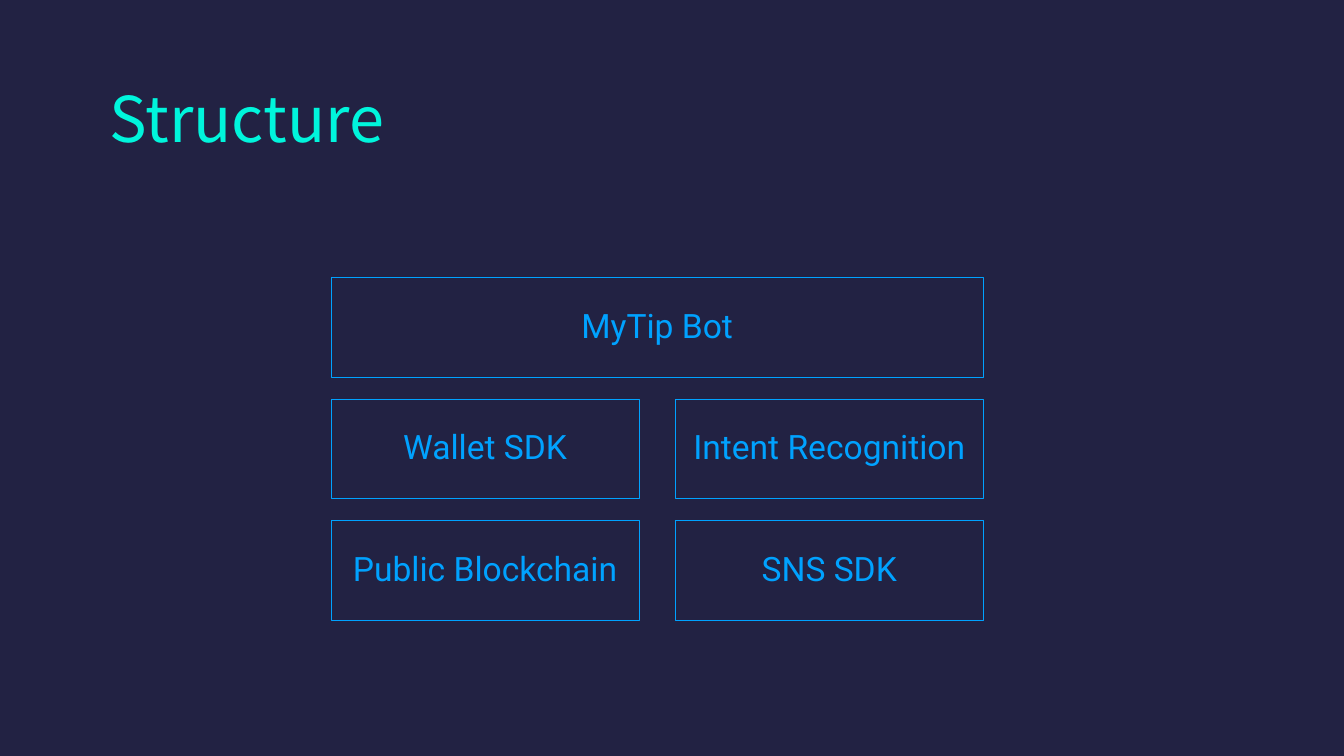
from dataclasses import dataclass

from pptx import Presentation
from pptx.dml.color import RGBColor
from pptx.enum.shapes import MSO_SHAPE
from pptx.enum.text import MSO_ANCHOR, PP_ALIGN
from pptx.util import Cm, Pt


@dataclass(frozen=True)
class Theme:
    back: str = "222243"
    head: str = "00F5DC"
    blue: str = "00A2FF"
    head_font: str = "Noto Sans CJK SC"
    box_font: str = "Roboto"
    head_size: int = 90
    box_size: int = 48
    inset: float = 0.15


class Deck:
    def __init__(self, prs, theme):
        self.theme = theme
        self.slide = prs.slides.add_slide(prs.slide_layouts[6])
        fill = self.slide.background.fill
        fill.solid()
        fill.fore_color.rgb = RGBColor.from_string(theme.back)

    def label(self, shape, text, font, size, color):
        """Put one styled paragraph in the shape and return it."""
        frame = shape.text_frame
        frame.word_wrap = True
        frame.margin_left = frame.margin_right = Cm(self.theme.inset)
        frame.margin_top = frame.margin_bottom = Cm(self.theme.inset)
        frame.text = text
        para = frame.paragraphs[0]
        style = para.runs[0].font
        style.name, style.size = font, Pt(size)
        style.color.rgb = RGBColor.from_string(color)
        return para

    def title(self, text, left, top, width, height):
        look = self.theme
        area = self.slide.shapes.add_textbox(Cm(left), Cm(top), Cm(width), Cm(height))
        para = self.label(area, text, look.head_font, look.head_size, look.head)
        para.line_spacing = 1.2

    def box(self, text, left, top, width, height):
        look = self.theme
        rect = self.slide.shapes.add_shape(
            MSO_SHAPE.RECTANGLE, Cm(left), Cm(top), Cm(width), Cm(height))
        rect.shadow.inherit = False
        rect.fill.background()
        rect.line.color.rgb = RGBColor.from_string(look.blue)
        rect.line.width = Pt(1)
        para = self.label(rect, text, look.box_font, look.box_size, look.blue)
        para.alignment = PP_ALIGN.CENTER
        para.line_spacing = 0.9
        para.space_before = Pt(45)
        rect.text_frame.vertical_anchor = MSO_ANCHOR.MIDDLE


ROWS = [
    ["MyTip Bot"],
    ["Wallet SDK", "Intent Recognition"],
    ["Public Blockchain", "SNS SDK"],
]
LEFT, TOP = 16.69, 14
FULL, HALF, HIGH = 32.87, 15.52, 5.03
STEP = 6.11


def main():
    prs = Presentation()
    prs.slide_width, prs.slide_height = Cm(67.74), Cm(38.1)
    deck = Deck(prs, Theme())
    deck.title("Structure", 5.38, 3.1, 37.82, 4.37)
    for row, names in enumerate(ROWS):
        width = FULL if len(names) == 1 else HALF
        for col, name in enumerate(names):
            left = LEFT + col * (FULL - HALF)
            deck.box(name, left, TOP + row * STEP, width, HIGH)
    prs.save("out.pptx")


if __name__ == "__main__":
    main()
